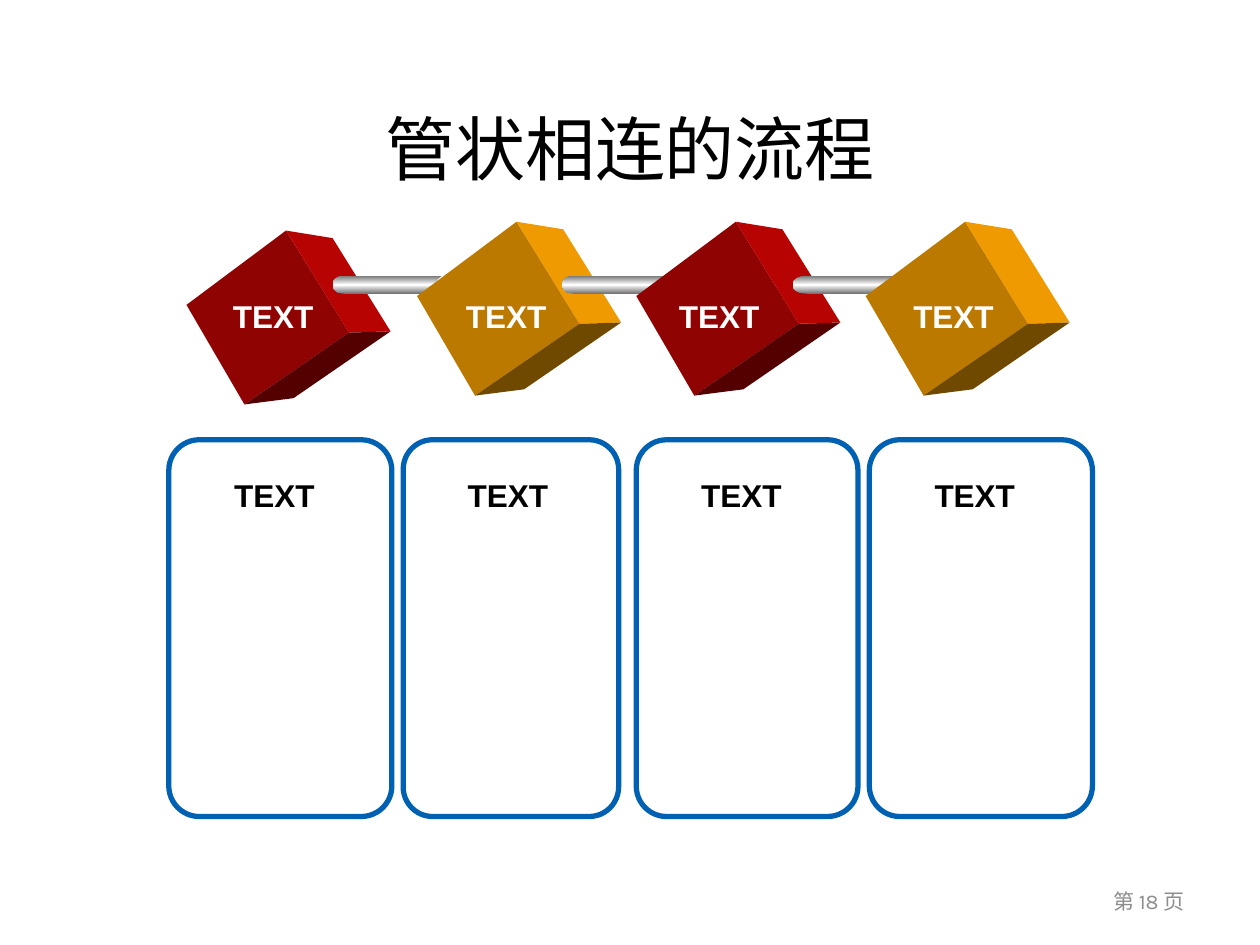
from copy import deepcopy
from pptx import Presentation
from pptx.dml.color import RGBColor
from pptx.enum.shapes import MSO_SHAPE
from pptx.enum.text import MSO_ANCHOR, PP_ALIGN
from pptx.util import Inches, Pt


def paint(s, fill=None, line=None, width=1):
    s.shadow.inherit = False
    if fill is None:
        s.fill.background()
    elif isinstance(fill, str):
        s.fill.solid()
        s.fill.fore_color.rgb = RGBColor.from_string(fill)
    else:
        s.fill.gradient()
        s.fill.gradient_angle = 90
        for stop, color in zip(s.fill.gradient_stops, fill):
            stop.color.rgb = RGBColor.from_string(color)
        first, middle = s.fill.gradient_stops
        middle.position = 0.5
        stops = s._element.spPr.xpath("a:gradFill/a:gsLst")[0]
        last = deepcopy(stops[0])
        last.set("pos", "100000")
        stops.append(last)
    if line:
        s.line.color.rgb = RGBColor.from_string(line)
        s.line.width = Pt(width)
    else:
        s.line.fill.background()


def write(s, text, font, size, color, bold=False, align=PP_ALIGN.LEFT, wrap=False):
    tf = s.text_frame
    tf.word_wrap = wrap
    p = tf.paragraphs[0]
    p.text = text
    p.alignment = align
    p.font.name = font
    p.font.size = Pt(size)
    p.font.bold = bold
    p.font.color.rgb = RGBColor.from_string(color)
    return tf


prs = Presentation()
prs.slide_width, prs.slide_height = Inches(10), Inches(7.5)
slide = prs.slides.add_slide(prs.slide_layouts[5])
shapes = slide.shapes

title = shapes.title
title.left, title.top, title.width, title.height = map(Inches, (0.5, 0.78, 9, 0.78))
tf = write(title, "管状相连的流程", "Karla", 40, "000000", align=PP_ALIGN.CENTER, wrap=True)
tf.vertical_anchor = MSO_ANCHOR.MIDDLE

number = shapes.add_textbox(*map(Inches, (7.17, 6.95, 2.33, 0.4)))
tf = write(number, "第 18 页", "Karla", 12, "8C8C8C", align=PP_ALIGN.RIGHT, wrap=True)
tf.vertical_anchor = MSO_ANCHOR.MIDDLE

for left, width in ((1.34, 1.77), (3.2, 1.71), (5.05, 1.76), (6.9, 1.77)):
    panel = shapes.add_shape(MSO_SHAPE.ROUNDED_RECTANGLE, *map(Inches, (left, 3.49, width, 2.99)))
    panel.adjustments[0] = 0.137
    paint(panel, line="0061B2", width=3)

red = ("8F0303", "B80303", "550000")
orange = ("BC7900", "EE9A00", "704900")
faces = (
    ((0, 0.59), (0.79, 0), (1.29, 0.81), (0.46, 1.38)),
    ((0.79, 0), (1.16, 0.06), (1.62, 0.74), (1.29, 0.81)),
    ((1.29, 0.81), (1.62, 0.74), (0.85, 1.33), (0.46, 1.38)),
)
faces = tuple(tuple((x, 0.8 if (x, y) == (1.62, 0.74) else y) for x, y in f) for f in faces)
steel = ("767676", "FFFFFF")
silver = ("B6B6B6", "FFFFFF")
pipe_parts = (
    (MSO_SHAPE.OVAL, 0, 2.19, 0.17, 0.14, steel, None),
    (MSO_SHAPE.RECTANGLE, 0.09, 2.19, 0.82, 0.14, steel, None),
    (MSO_SHAPE.OVAL, 0.83, 2.19, 0.15, 0.13, silver, "FFFFFF"),
    (MSO_SHAPE.OVAL, 0.91, 2.23, 0.04, 0.04, silver, None),
)
cubes = ((1.48, 1.83, red), (3.31, 1.76, orange), (5.05, 1.76, red), (6.87, 1.76, orange))
pipes = ((2.64, 1), (4.46, 1), (6.29, 1.3), None)

for (left, top, colors), pipe in zip(cubes, pipes):
    for face, color in zip(faces, colors):
        points = [(Inches(left + x), Inches(top + y)) for x, y in face]
        builder = shapes.build_freeform(*points[0])
        builder.add_line_segments(points[1:], close=True)
        paint(builder.convert_to_shape(), color)
    if pipe:
        start, stretch = pipe
        for kind, x, y, width, height, fill, line in pipe_parts:
            box = (start + x * stretch, y, width * stretch, height)
            paint(shapes.add_shape(kind, *map(Inches, box)), fill, line)

cube_labels = [(left, 2.31, "FFFFFF") for left in (1.75, 3.6, 5.29, 7.15)]
panel_labels = [(1.76 + 1.853 * i, 3.73, "000000") for i in range(4)]
for left, top, color in cube_labels + panel_labels:
    label = shapes.add_textbox(*map(Inches, (left, top, 0.84, 0.4)))
    write(label, "TEXT", "Arial", 18, color, bold=True)

prs.save("out.pptx")
